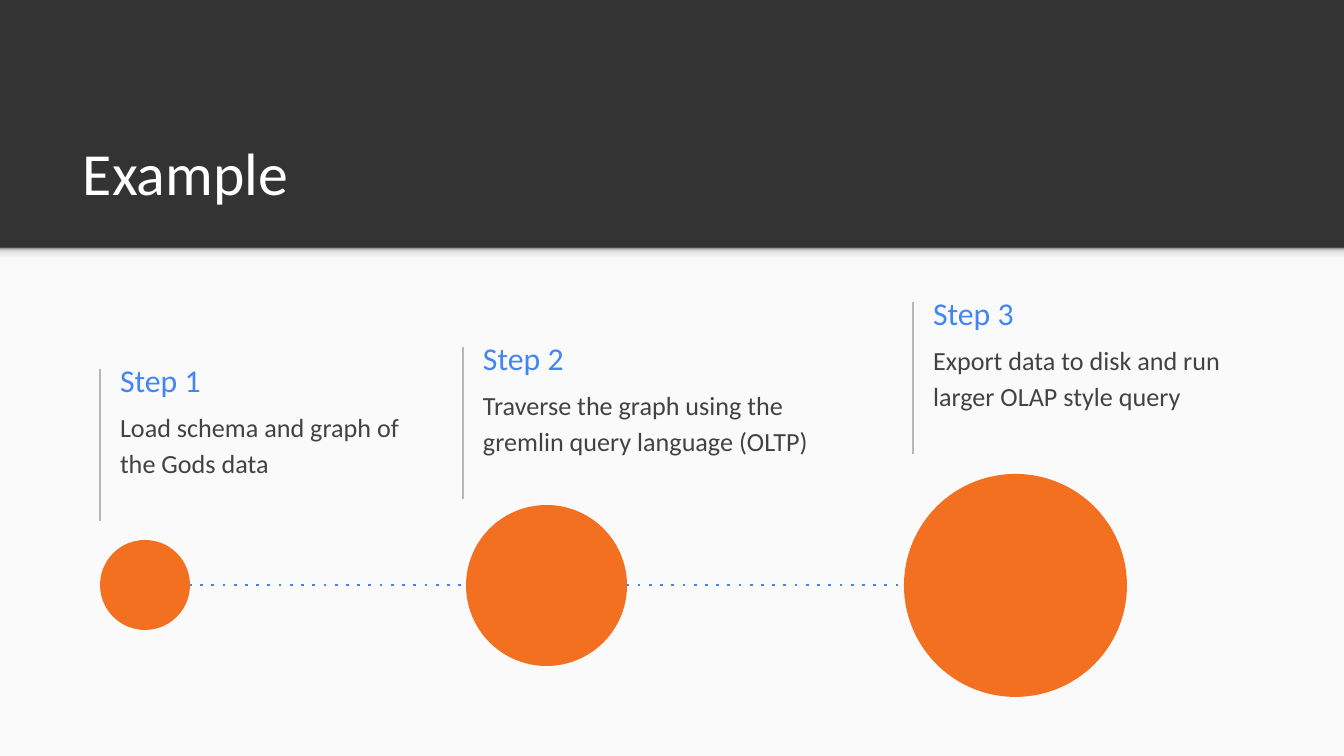
from lxml.etree import SubElement
from pptx import Presentation
from pptx.dml.color import RGBColor
from pptx.enum.shapes import MSO_CONNECTOR as Connector, MSO_SHAPE as Shape
from pptx.enum.text import MSO_ANCHOR as Anchor
from pptx.oxml.ns import qn
from pptx.util import Emu, Pt

EMU_PER_PX = 914400 / 134.4
FONT = "Calibri"
COLORS = {
    "header": "333333",
    "body": "FAFAFA",
    "title": "FFFFFF",
    "accent": "4285F4",
    "text": "424242",
    "rule": "B7B7B7",
    "circle": "F37021",
}
SHADOW_STOPS = [(0, "F9F9F9"), (36, "F9F9F9"), (80, "DEDEDE"), (100, "999999")]
HEADER_HEIGHT = 248
TIMELINE_Y = 585
RULE_HEIGHT = 152
STEPS = [
    ("Step 1", "Load schema and graph of the Gods data", 100, 369, 308, 100, 90),
    ("Step 2", "Traverse the graph using the gremlin query language (OLTP)", 463, 347, 359, 466, 161),
    ("Step 3", "Export data to disk and run larger OLAP style query", 913, 302, 359, 904, 223),
]


def px(value):
    return Emu(round(value * EMU_PER_PX))


def color(name):
    return RGBColor.from_string(COLORS[name])


def add_shape(slide, kind, left, top, width, height, fill=None):
    shape = slide.shapes.add_shape(kind, px(left), px(top), px(width), px(height))
    shape.shadow.inherit = False
    shape.line.fill.background()
    if fill:
        shape.fill.solid()
        shape.fill.fore_color.rgb = color(fill)
    return shape


def add_header_shadow(slide):
    shape = add_shape(slide, Shape.RECTANGLE, 0, HEADER_HEIGHT, 1344, 16)
    shape.fill.gradient()
    shape.fill.gradient_angle = 90
    stops = shape.element.spPr.find(qn("a:gradFill")).find(qn("a:gsLst"))
    for stop in list(stops):
        stops.remove(stop)
    for position, hex_color in SHADOW_STOPS:
        stop = SubElement(stops, qn("a:gs"), pos=str(position * 1000))
        SubElement(stop, qn("a:srgbClr"), val=hex_color)


def add_line(slide, start, end, line_color, width, dash=None):
    connector = slide.shapes.add_connector(Connector.STRAIGHT, *map(px, start + end))
    connector.line.color.rgb = color(line_color)
    connector.line.width = Pt(width)
    properties = connector.element.spPr
    if dash:
        SubElement(properties.find(qn("a:ln")), qn("a:prstDash"), val=dash)
    SubElement(properties, qn("a:effectLst"))


def add_text(slide, text, left, top, width, height, *, size, text_color,
             anchor=Anchor.TOP, line_spacing=None, space_after=0):
    box = slide.shapes.add_textbox(px(left), px(top), px(width), px(height))
    frame = box.text_frame
    frame.word_wrap = True
    frame.vertical_anchor = anchor
    frame.margin_left = frame.margin_right = px(13)
    frame.margin_top = frame.margin_bottom = px(13)
    paragraph = frame.paragraphs[0]
    paragraph.line_spacing = line_spacing
    paragraph.space_after = Pt(space_after)
    run = paragraph.add_run()
    run.text = text
    run.font.name = FONT
    run.font.size = Pt(size)
    run.font.color.rgb = color(text_color)


def add_step_text(slide, heading, description, left, top, width):
    add_line(slide, (left, top), (left, top + RULE_HEIGHT), "rule", 0.75)
    add_text(slide, heading, left + 7, top - 18, 266, 58,
             size=17, text_color="accent", anchor=Anchor.MIDDLE)
    add_text(slide, description, left + 7, top + 25, width, 85,
             size=14, text_color="text", line_spacing=1.15, space_after=16)


def main():
    presentation = Presentation()
    presentation.slide_width, presentation.slide_height = px(1344), px(756)
    slide = presentation.slides.add_slide(presentation.slide_layouts[6])
    slide.background.fill.solid()
    slide.background.fill.fore_color.rgb = color("header")

    add_shape(slide, Shape.RECTANGLE, 0, HEADER_HEIGHT, 1344, 756 - HEADER_HEIGHT, "body")
    add_header_shadow(slide)
    add_text(slide, "Example", 70, 108, 1208, 113,
             size=32, text_color="title", anchor=Anchor.BOTTOM)

    for heading, description, left, top, width, _, _ in STEPS:
        add_step_text(slide, heading, description, left, top, width)

    add_line(slide, (189, TIMELINE_Y), (904, TIMELINE_Y), "accent", 1.5, "dot")
    for *_, left, diameter in STEPS:
        add_shape(slide, Shape.OVAL, left, TIMELINE_Y - diameter // 2,
                  diameter, diameter, "circle")

    presentation.save("out.pptx")


if __name__ == "__main__":
    main()
